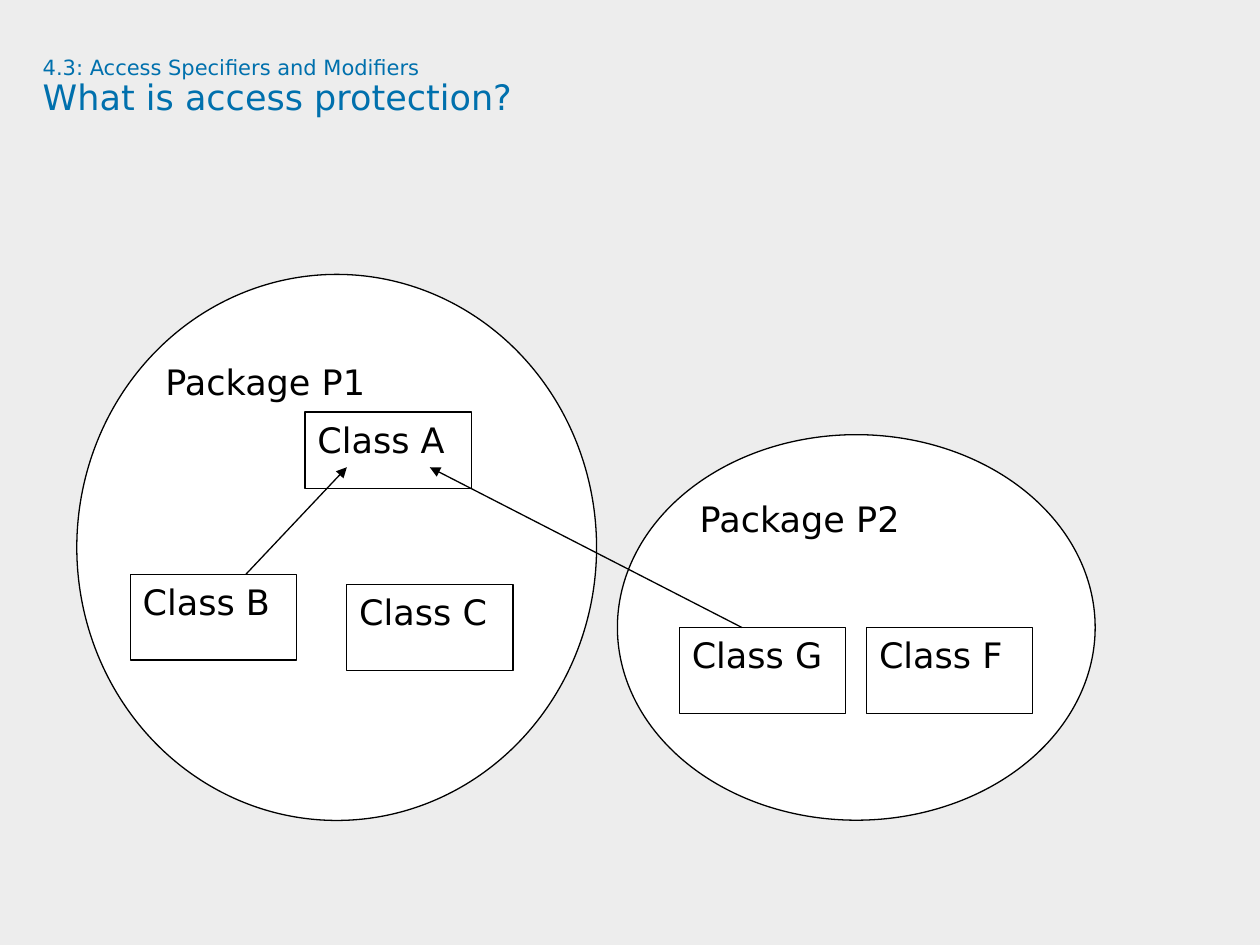
from copy import deepcopy

from pptx import Presentation
from pptx.dml.color import RGBColor
from pptx.enum.shapes import MSO_CONNECTOR as Link, MSO_SHAPE as Kind
from pptx.enum.text import MSO_ANCHOR as Anchor, MSO_AUTO_SIZE as Fit, PP_ALIGN as Align
from pptx.oxml.ns import qn
from pptx.util import Pt
from lxml.etree import SubElement as sub

BLACK = RGBColor(0x00, 0x00, 0x00)
WHITE = RGBColor(0xFF, 0xFF, 0xFF)
GREY = RGBColor(0xED, 0xED, 0xED)
BLUE = RGBColor(0x00, 0x70, 0xAD)
FONT = "DejaVu Sans"
WIDE, HIGH = 95, 49
OVALS = [
    ("Package P2", 352.8, 248.4, 273, 220.3),
    ("Package P1", 43.9, 156.8, 297, 312),
]
BOXES = [
    ("Class A", 174.3, 235.4, WIDE, 44),
    ("Class C", 198.2, 334, WIDE, HIGH),
    ("Class B", 74.4, 328.2, WIDE, HIGH),
    ("Class F", 495.2, 358.6, WIDE, HIGH),
    ("Class G", 388.2, 358.6, WIDE, HIGH),
]
ARROWS = [(140.5, 328.2, 198.2, 267), (424, 358.6, 245.6, 267)]


def add_run(para, text, size, color):
    """Add one styled run to a paragraph."""
    run = para.add_run()
    run.text = text
    run.font.name = FONT
    run.font.size = Pt(size)
    run.font.color.rgb = color
    return run


def add_title(slide, top, main):
    """Fill the title with a small section line over the heading."""
    title = slide.shapes.title
    title.left, title.top = Pt(24.4), Pt(33)
    title.width, title.height = Pt(654.5), Pt(67.7)
    frame = title.text_frame
    frame.margin_left = frame.margin_right = Pt(0)
    frame.margin_top = frame.margin_bottom = Pt(0)
    frame.vertical_anchor = Anchor.TOP
    frame.auto_size = Fit.NONE
    frame.word_wrap = True
    para = frame.paragraphs[0]
    para.alignment = Align.LEFT
    para.line_spacing = 0.9
    run = add_run(para, top, 12, BLUE)
    para.add_line_break()
    para._p[-1].append(deepcopy(run._r.rPr))
    add_run(para, main, 20, BLUE)


def add_node(group, kind, text, x, y, w, h):
    """Add a white outlined shape with its label at the top left."""
    node = group.shapes.add_shape(kind, Pt(x), Pt(y), Pt(w), Pt(h))
    node.shadow.inherit = False
    node.fill.solid()
    node.fill.fore_color.rgb = WHITE
    node.line.color.rgb = BLACK
    node.line.width = Pt(0.75)
    frame = node.text_frame
    frame.word_wrap = True
    frame.vertical_anchor = Anchor.TOP
    para = frame.paragraphs[0]
    para.alignment = Align.LEFT
    add_run(para, text, 20, BLACK)


def add_arrow(group, *ends):
    """Add a thin black line with a triangle at its end."""
    line = group.shapes.add_connector(Link.STRAIGHT, *map(Pt, ends))
    line.line.color.rgb = BLACK
    line.line.width = Pt(0.75)
    sub(line.line._get_or_add_ln(), qn("a:tailEnd"), type="triangle")
    sub(line._element.spPr, qn("a:effectLst"))


def main():
    """Build the access protection slide."""
    deck = Presentation()
    deck.slide_width, deck.slide_height = Pt(720), Pt(540)
    slide = deck.slides.add_slide(deck.slide_layouts[5])
    back = slide.background.fill
    back.solid()
    back.fore_color.rgb = GREY
    add_title(slide, "4.3: Access Specifiers and Modifiers", "What is access protection?")
    group = slide.shapes.add_group_shape()
    for oval in OVALS:
        add_node(group, Kind.OVAL, *oval)
    for box in BOXES:
        add_node(group, Kind.RECTANGLE, *box)
    for ends in ARROWS:
        add_arrow(group, *ends)
    deck.save("out.pptx")


if __name__ == "__main__":
    main()
